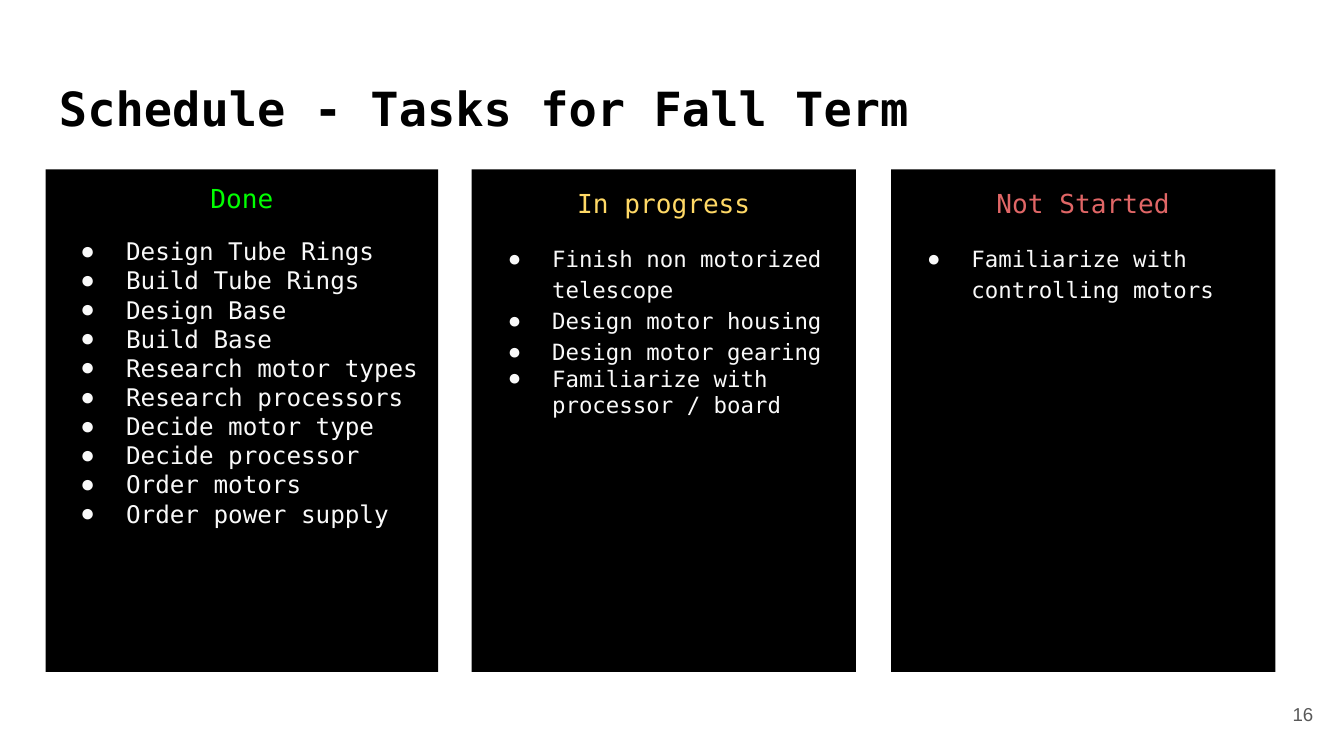
from dataclasses import dataclass

from lxml.etree import SubElement
from pptx import Presentation
from pptx.dml.color import RGBColor
from pptx.enum.shapes import MSO_SHAPE
from pptx.enum.text import MSO_ANCHOR as Anchor, PP_ALIGN as Align
from pptx.oxml.ns import qn
from pptx.util import Inches, Pt

MONO, SANS = "DejaVu Sans Mono", "Arial"
BLACK, OFF_WHITE = "000000", "F9F9F9"
SLIDE_WIDTH = 10
TOP, HEIGHT = 1.26, 3.74


@dataclass
class Column:
    left: float
    width: float
    heading: str
    color: str
    tasks: list[str]
    size: int = 12
    hanging: float = 0.33
    spacing: float = 1.15
    last_spacing: float = 1.15


COLUMNS = [
    Column(0.34, 2.92, "Done", "00FF00",
           ["Design Tube Rings", "Build Tube Rings", "Design Base", "Build Base",
            "Research motor types", "Research processors", "Decide motor type",
            "Decide processor", "Order motors", "Order power supply"],
           size=13, hanging=0.34, spacing=1.0, last_spacing=1.0),
    Column(3.51, 2.86, "In progress", "FFD966",
           ["Finish non motorized telescope", "Design motor housing",
            "Design motor gearing", "Familiarize with processor / board"],
           last_spacing=1.0),
    Column(6.63, 2.86, "Not Started", "E06666",
           ["Familiarize with controlling motors"]),
]


def rgb(color: str) -> RGBColor:
    return RGBColor.from_string(color)


def set_frame(tf, anchor=Anchor.TOP) -> None:
    margins = {f"margin_{side}": Inches(0.1) for side in ("left", "right", "top", "bottom")}
    for name, value in {"word_wrap": True, "vertical_anchor": anchor, **margins}.items():
        setattr(tf, name, value)


def write(p, text: str, size: float, color: str, font=MONO, bold=False, **para) -> None:
    """Add one run to a paragraph and apply the paragraph settings."""
    r = p.add_run()
    r.text = text
    for name, value in {"size": Pt(size), "name": font, "bold": bold}.items():
        setattr(r.font, name, value)
    r.font.color.rgb = rgb(color)
    for name, value in para.items():
        setattr(p, name, value)


def add_bullet(p, hanging: float) -> None:
    pPr = p._p.get_or_add_pPr()
    pPr.set("marL", str(Inches(0.5)))
    pPr.set("indent", str(-Inches(hanging)))
    SubElement(SubElement(pPr, qn("a:buClr")), qn("a:srgbClr"), val=OFF_WHITE)
    SubElement(pPr, qn("a:buFont"), typeface=SANS)
    SubElement(pPr, qn("a:buChar"), char="●")


def add_label(s, box: tuple, text: str, size: float, color: str,
              anchor=Anchor.TOP, **style) -> None:
    tf = s.shapes.add_textbox(*map(Inches, box)).text_frame
    set_frame(tf, anchor)
    write(tf.paragraphs[0], text, size, color, **style)


def add_column(s, col: Column) -> None:
    box = map(Inches, (col.left, TOP, col.width, HEIGHT))
    sp = s.shapes.add_shape(MSO_SHAPE.RECTANGLE, *box)
    sp.shadow.inherit = False
    sp.fill.solid()
    sp.fill.fore_color.rgb = rgb(BLACK)
    sp.line.fill.background()
    tf = sp.text_frame
    set_frame(tf)
    write(tf.paragraphs[0], col.heading, 14, col.color,
          alignment=Align.CENTER, line_spacing=col.spacing)
    for i, task in enumerate(col.tasks):
        is_last = i == len(col.tasks) - 1
        p = tf.add_paragraph()
        write(p, task, col.size, OFF_WHITE, alignment=Align.LEFT,
              line_spacing=col.last_spacing if is_last else col.spacing,
              space_before=Pt(0 if i else 12))
        add_bullet(p, col.hanging)


def main() -> None:
    prs = Presentation()
    prs.slide_width = Inches(SLIDE_WIDTH)
    prs.slide_height = Inches(SLIDE_WIDTH * 9 / 16)
    s = prs.slides.add_slide(prs.slide_layouts[6])
    add_label(s, (0.34, 0.49, 9.32, 0.63), "Schedule - Tasks for Fall Term",
              25.2, BLACK, bold=True)
    for col in COLUMNS:
        add_column(s, col)
    add_label(s, (9.27, 5.1, 0.6, 0.43), "16", 10, "595959", Anchor.MIDDLE,
              font=SANS, alignment=Align.RIGHT)
    prs.save("out.pptx")


if __name__ == "__main__":
    main()
